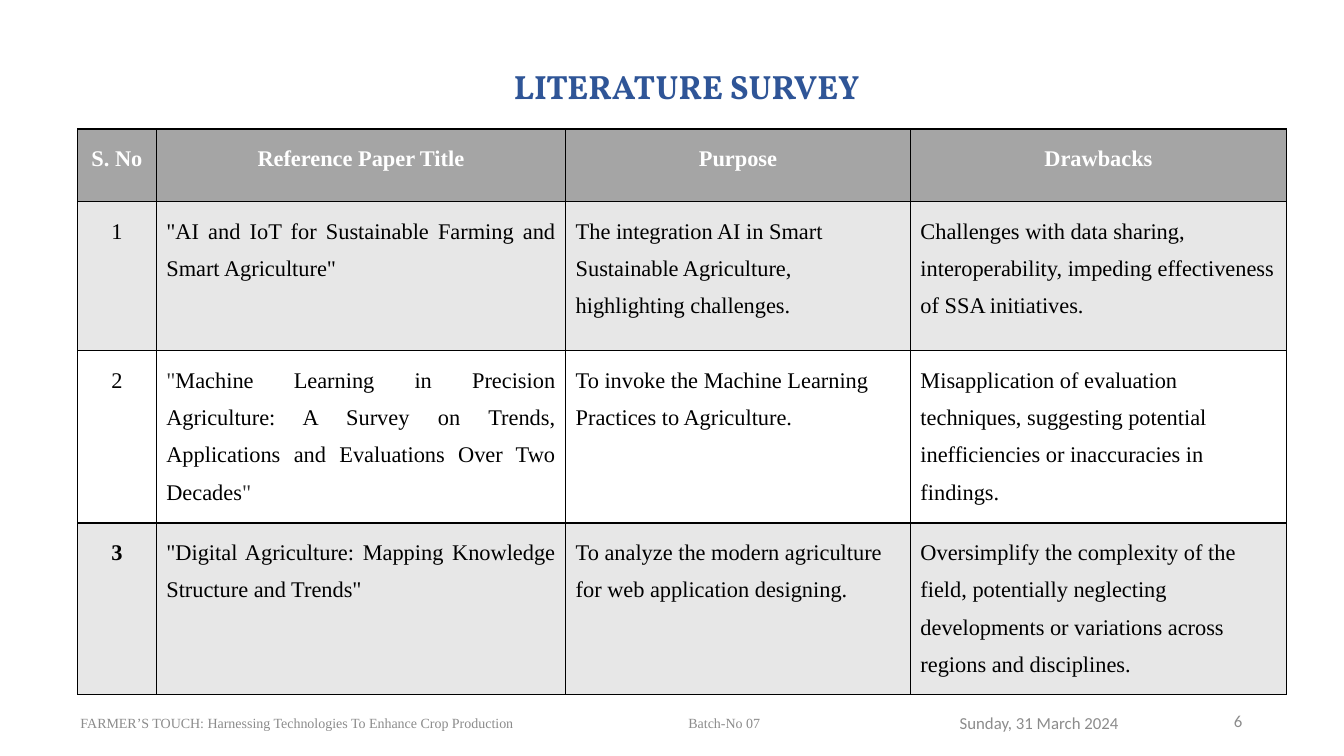
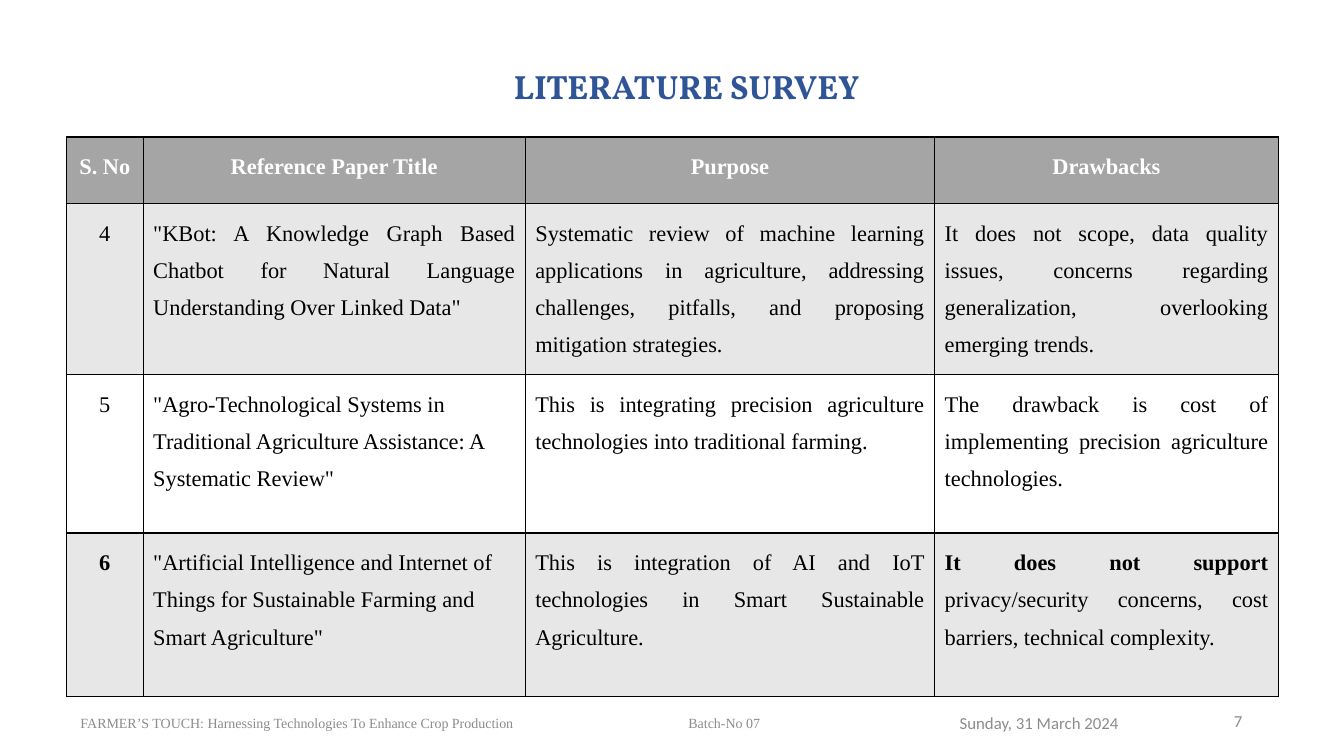
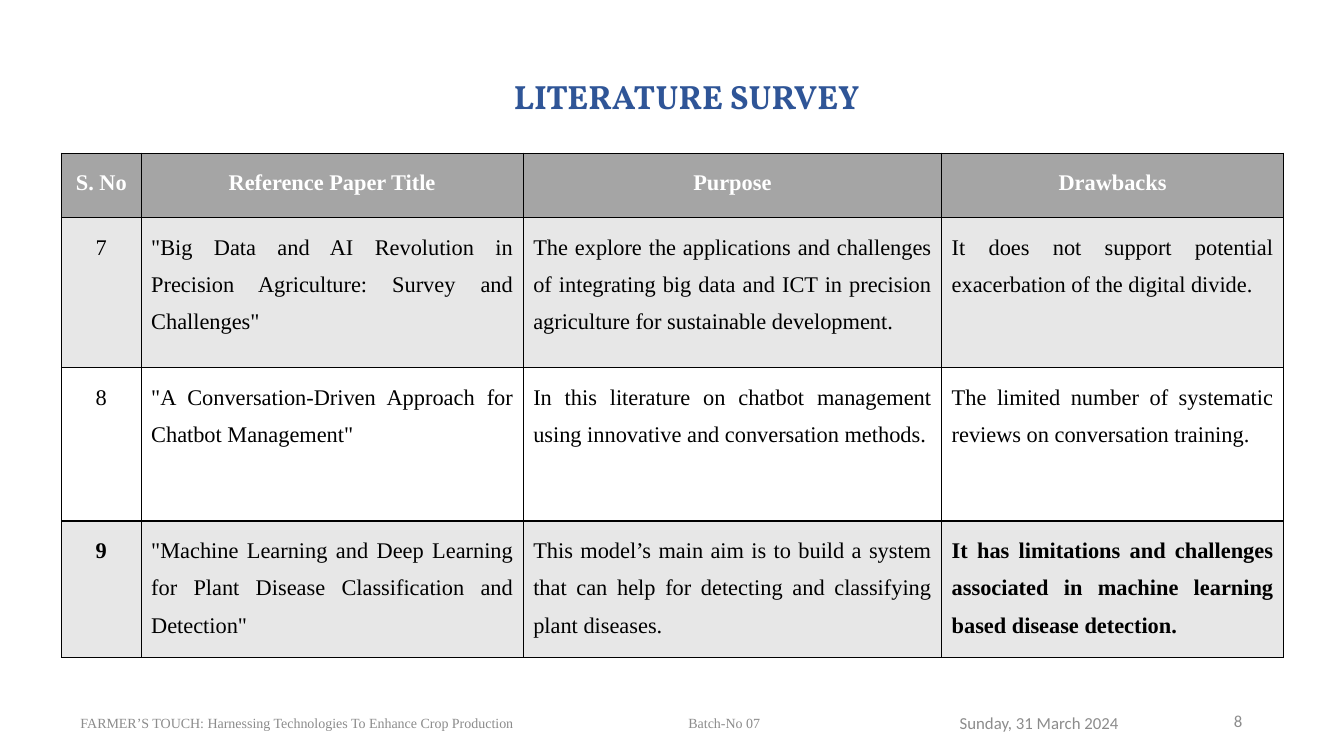
from lxml.etree import SubElement
from pptx import Presentation
from pptx.dml.color import RGBColor as RGB
from pptx.enum.text import MSO_ANCHOR as ANCHOR, PP_ALIGN as ALIGN
from pptx.oxml.ns import qn
from pptx.util import Inches, Pt

COLORS = {
    "title": "2F5597",
    "header": "A5A5A5",
    "band": "E7E7E7",
    "white": "FFFFFF",
    "text": "000000",
    "quote": "333333",
    "footer": "8C8C8C",
}
SERIF = "Times New Roman"
ALIGNS = {"l": ALIGN.LEFT, "c": ALIGN.CENTER, "r": ALIGN.RIGHT, "j": ALIGN.JUSTIFY}
HEADINGS = ["S. No", "Reference Paper Title", "Purpose", "Drawbacks"]
FIRST_PAGE = 6

SURVEYS = [
    {
        "title": (0.15, 1.45),
        "at": (0.77, 1.28),
        "cols": [0.78, 4.06, 3.42, 3.73],
        "rows": [0.72, 1.48, 1.71, 1.53],
        "papers": [
            ("cjll", ["1",
                      '"AI and IoT for Sustainable Farming and Smart Agriculture"',
                      "The integration AI in Smart Sustainable Agriculture, highlighting challenges.",
                      "Challenges with data sharing, interoperability, impeding effectiveness of SSA initiatives."]),
            ("cjll", ["2",
                      [('"', {"color": "quote"}),
                       ("Machine Learning in Precision Agriculture: A Survey on Trends, "
                        "Applications and Evaluations Over Two Decades", {}),
                       ('"', {"color": "quote"})],
                      "To invoke the Machine Learning Practices to Agriculture.",
                      "Misapplication of evaluation techniques, suggesting potential "
                      "inefficiencies or inaccuracies in findings."]),
            ("cjll", [[("3", {"bold": True})],
                      '"Digital Agriculture: Mapping Knowledge Structure and Trends"',
                      "To analyze the modern agriculture for web application designing.",
                      "Oversimplify the complexity of the field, potentially neglecting "
                      "developments or variations across regions and disciplines."]),
        ],
    },
    {
        "title": (0.15, 1.45),
        "at": (0.66, 1.36),
        "cols": [0.76, 3.79, 4.06, 3.41],
        "rows": [0.66, 1.54, 1.57, 1.62],
        "papers": [
            ("cjjj", ["4",
                      '"KBot: A Knowledge Graph Based Chatbot for Natural Language '
                      'Understanding Over Linked Data"',
                      "Systematic review of machine learning applications in agriculture, "
                      "addressing challenges, pitfalls, and proposing mitigation strategies.",
                      "It does not scope, data quality issues, concerns regarding "
                      "generalization, overlooking emerging trends."]),
            ("cljj", ["5",
                      '"Agro-Technological Systems in Traditional Agriculture Assistance: '
                      'A Systematic Review"',
                      "This is integrating precision agriculture technologies into traditional farming.",
                      "The drawback is cost of implementing precision agriculture technologies."]),
            ("cljj", [[("6", {"bold": True})],
                      '"Artificial Intelligence and Internet of Things for Sustainable '
                      'Farming and Smart Agriculture"',
                      "This is integration of AI and IoT technologies in Smart Sustainable Agriculture.",
                      [("It does not support ", {"bold": True}),
                       ("privacy/security concerns, cost barriers, technical complexity.", {})]]),
        ],
    },
    {
        "title": (0.56, 0.83),
        "at": (0.61, 1.52),
        "cols": [0.79, 3.79, 4.15, 3.39],
        "rows": [0.64, 1.49, 1.52, 1.35],
        "papers": [
            ("cjjj", ["7",
                      '"Big Data and AI Revolution in Precision Agriculture: Survey and Challenges"',
                      "The explore the applications and challenges of integrating big data "
                      "and ICT in precision agriculture for sustainable development.",
                      "It does not support potential exacerbation of the digital divide."]),
            ("cjjj", ["8",
                      '"A Conversation-Driven Approach for Chatbot Management"',
                      "In this literature on chatbot management using innovative and conversation methods.",
                      "The limited number of systematic reviews on conversation training."]),
            ("cjjj", [[("9", {"bold": True})],
                      '"Machine Learning and Deep Learning for Plant Disease Classification '
                      'and Detection"',
                      "This model’s main aim is to build a system that can help for detecting "
                      "and classifying plant diseases.",
                      [("It has limitations and challenges associated in machine learning "
                        "based disease detection.", {"bold": True})]]),
        ],
    },
]


def write_text(tf, text, size=16, font=SERIF, color="text", bold=False,
               align="l", spacing=None, tab=None):
    p = tf.paragraphs[0]
    p.alignment = ALIGNS[align]
    if spacing:
        p.line_spacing = spacing
    if tab:
        tabs = SubElement(p._p.get_or_add_pPr(), qn("a:tabLst"))
        SubElement(tabs, qn("a:tab"), pos=str(Inches(tab)), algn="l")
    runs = [(text, {})] if isinstance(text, str) else text
    for words, changes in runs:
        r = p.add_run()
        r.text = words
        r.font.size = Pt(size)
        r.font.name = font
        r.font.bold = changes.get("bold", bold)
        r.font.color.rgb = RGB.from_string(COLORS[changes.get("color", color)])


def add_label(s, box, text, **fmt):
    tf = s.shapes.add_textbox(*map(Inches, box)).text_frame
    tf.word_wrap = True
    tf.vertical_anchor = ANCHOR.MIDDLE
    write_text(tf, text, **fmt)


def add_borders(cell):
    tcPr = cell._tc.get_or_add_tcPr()
    for side in ("lnL", "lnR", "lnT", "lnB"):
        ln = SubElement(tcPr, qn(f"a:{side}"), w=str(Pt(1)))
        fill = SubElement(ln, qn("a:solidFill"))
        SubElement(fill, qn("a:srgbClr"), val=COLORS["text"])


def fill_row(row, texts, aligns, fill, **fmt):
    for cell, text, align in zip(row.cells, texts, aligns):
        add_borders(cell)
        cell.fill.solid()
        cell.fill.fore_color.rgb = RGB.from_string(COLORS[fill])
        write_text(cell.text_frame, text, align=align, spacing=1.5, **fmt)


def add_survey_table(s, at, cols, rows, papers):
    box = (*at, sum(cols), sum(rows))
    table = s.shapes.add_table(len(rows), len(cols), *map(Inches, box)).table
    table.first_row = table.horz_banding = False
    for column, width in zip(table.columns, cols):
        column.width = Inches(width)
    for row, height in zip(table.rows, rows):
        row.height = Inches(height)
    fill_row(table.rows[0], HEADINGS, "cccc", "header", color="white", bold=True)
    for i, (aligns, texts) in enumerate(papers, 1):
        fill_row(table.rows[i], texts, aligns, "band" if i % 2 else "white")


def add_title(s, top, height):
    add_label(s, (1.06, top, 11.5, height), "LITERATURE SURVEY", size=24,
              font="Vollkorn", color="title", bold=True, align="c", spacing=0.9)


def add_footer(s, page):
    sans = {"size": 12, "font": "Calibri", "color": "footer"}
    add_label(s, (9.42, 6.95, 3, 0.4), str(page), align="r", **sans)
    add_label(s, (9.42, 6.97, 3, 0.4), "Sunday, 31 March 2024", **sans)
    add_label(s, (0.7, 6.97, 8.5, 0.4),
              "FARMER’S TOUCH: Harnessing Technologies To Enhance Crop Production\tBatch-No 07",
              size=10, color="footer", tab=6.03)


def main():
    prs = Presentation()
    prs.slide_width, prs.slide_height = Inches(13.33), Inches(7.5)
    for page, survey in enumerate(SURVEYS, FIRST_PAGE):
        s = prs.slides.add_slide(prs.slide_layouts[6])
        add_title(s, *survey["title"])
        add_survey_table(s, survey["at"], survey["cols"], survey["rows"], survey["papers"])
        add_footer(s, page)
    prs.save("out.pptx")


if __name__ == "__main__":
    main()
